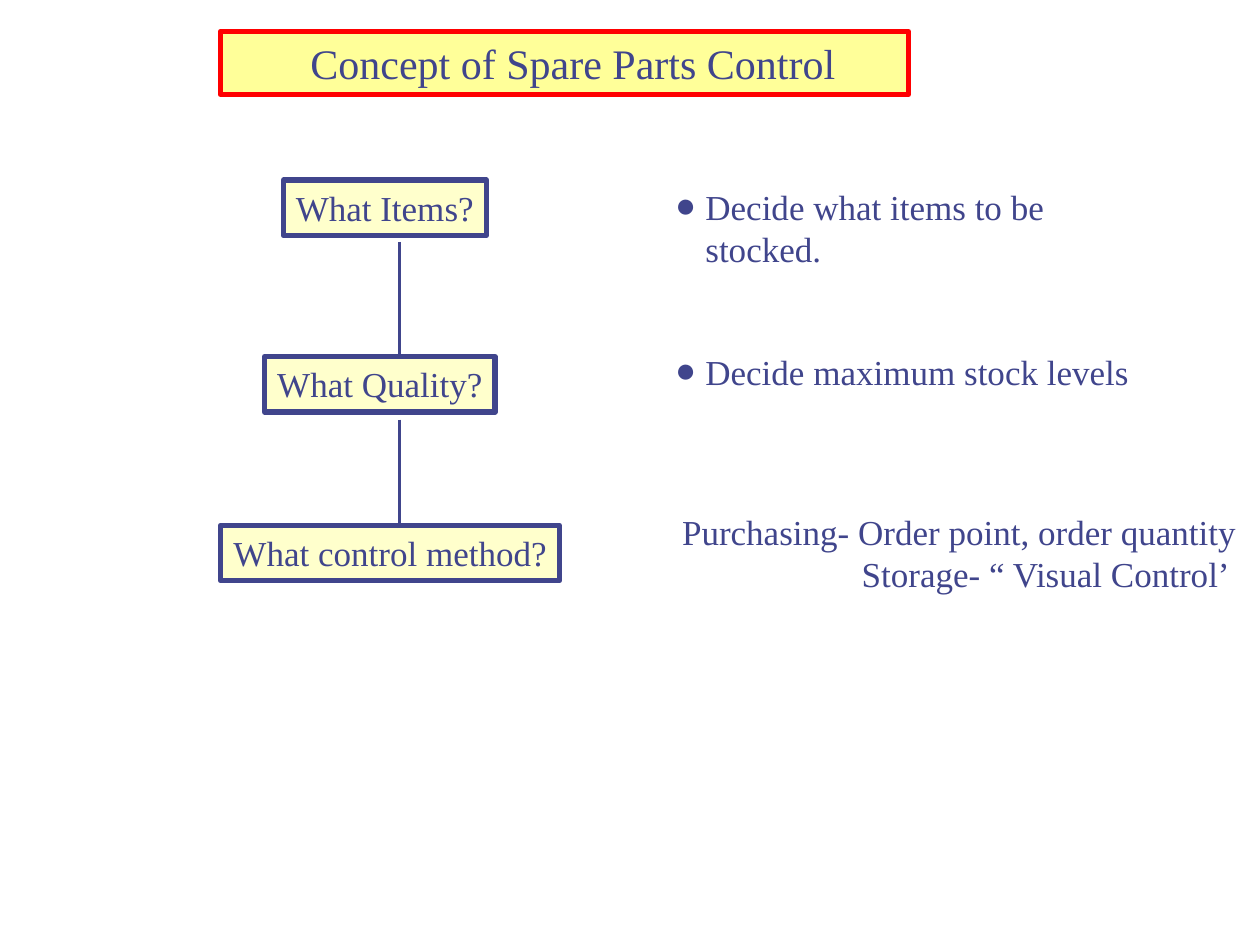
from lxml import etree
from pptx import Presentation
from pptx.dml.color import RGBColor
from pptx.enum.shapes import MSO_CONNECTOR, MSO_SHAPE
from pptx.enum.text import MSO_ANCHOR, PP_ALIGN
from pptx.oxml.ns import qn
from pptx.util import Inches, Pt

RECTANGLE = MSO_SHAPE.RECTANGLE
STRAIGHT = MSO_CONNECTOR.STRAIGHT
TOP = MSO_ANCHOR.TOP
LEFT, RIGHT = PP_ALIGN.LEFT, PP_ALIGN.RIGHT

INDIGO = RGBColor(0x40, 0x45, 0x8C)
RED = RGBColor(0xFF, 0x00, 0x00)
YELLOW = RGBColor(0xFF, 0xFF, 0x99)
CREAM = RGBColor(0xFF, 0xFF, 0xCC)

FONT = "Times New Roman"
BOX_HEIGHT = 0.44
FLOW_X = 3.17
QUESTIONS = [
    ("What Items?", 2.25, 1.43, 1.61),
    ("What Quality?", 2.1, 2.83, 1.83),
    ("What control method?", 1.75, 4.17, 2.69),
]
LINKS = [(1.92, 2.83), (3.33, 4.17)]
DECISIONS = [
    ("Decide what items to be stocked.", 1.42, 4.11),
    ("Decide maximum stock levels", 2.73, 3.8),
]
METHODS = "Purchasing- Order point, order quantity\nStorage- “ Visual Control’ "


def write(sp, text, size, align):
    """Put styled, unwrapped text in a shape."""
    tf = sp.text_frame
    tf.text = text
    tf.word_wrap = False
    tf.vertical_anchor = TOP
    for p in tf.paragraphs:
        p.alignment = align
        for r in p.runs:
            r.font.name = FONT
            r.font.size = Pt(size)
            r.font.color.rgb = INDIGO


def paint(sp, fill, line):
    """Give a shape a solid fill and a thick outline."""
    sp.fill.solid()
    sp.fill.fore_color.rgb = fill
    sp.line.color.rgb = line
    sp.line.width = Pt(3)


def add_title(s, text):
    """Place and format the framed title."""
    sp = s.shapes.title
    sp.left, sp.top = Inches(1.75), Inches(0.25)
    sp.width, sp.height = Inches(5.46), Inches(0.5)
    paint(sp, YELLOW, RED)
    write(sp, text, 24, RIGHT)
    sp.text_frame.margin_right = Inches(0.58)


def add_question(s, text, left, top, width):
    """Add one question box."""
    sp = s.shapes.add_shape(RECTANGLE, Inches(left), Inches(top),
                            Inches(width), Inches(BOX_HEIGHT))
    sp.shadow.inherit = False
    paint(sp, CREAM, INDIGO)
    write(sp, text, 20, RIGHT)


def add_link(s, top, bottom):
    """Add a vertical line between two questions."""
    line = s.shapes.add_connector(STRAIGHT, Inches(FLOW_X), Inches(top),
                                  Inches(FLOW_X), Inches(bottom))
    line.line.color.rgb = INDIGO
    line.line.width = Pt(2)
    etree.SubElement(line._element.spPr, qn("a:effectLst"))


def add_text(s, text, left, top, width, height, align):
    """Add a text box and return it."""
    sp = s.shapes.add_textbox(Inches(left), Inches(top),
                              Inches(width), Inches(height))
    write(sp, text, 20, align)
    return sp


def add_decision(s, text, top, width):
    """Add a bulleted answer."""
    sp = add_text(s, text, 5.26, top, width, BOX_HEIGHT, LEFT)
    pPr = sp.text_frame.paragraphs[0]._p.get_or_add_pPr()
    pPr.set("marL", str(Inches(0.24)))
    pPr.set("indent", str(-Inches(0.24)))
    etree.SubElement(pPr, qn("a:buFont"), typeface=FONT)
    etree.SubElement(pPr, qn("a:buChar"), char="●")


def main():
    """Build the slide and save it."""
    prs = Presentation()
    prs.slide_width, prs.slide_height = Inches(10), Inches(7.5)
    s = prs.slides.add_slide(prs.slide_layouts[5])
    add_title(s, "Concept of Spare Parts Control")
    for question in QUESTIONS:
        add_question(s, *question)
    for link in LINKS:
        add_link(s, *link)
    for decision in DECISIONS:
        add_decision(s, *decision)
    add_text(s, METHODS, 5.31, 4, 4.6, 0.77, RIGHT)
    prs.save("out.pptx")


if __name__ == "__main__":
    main()
